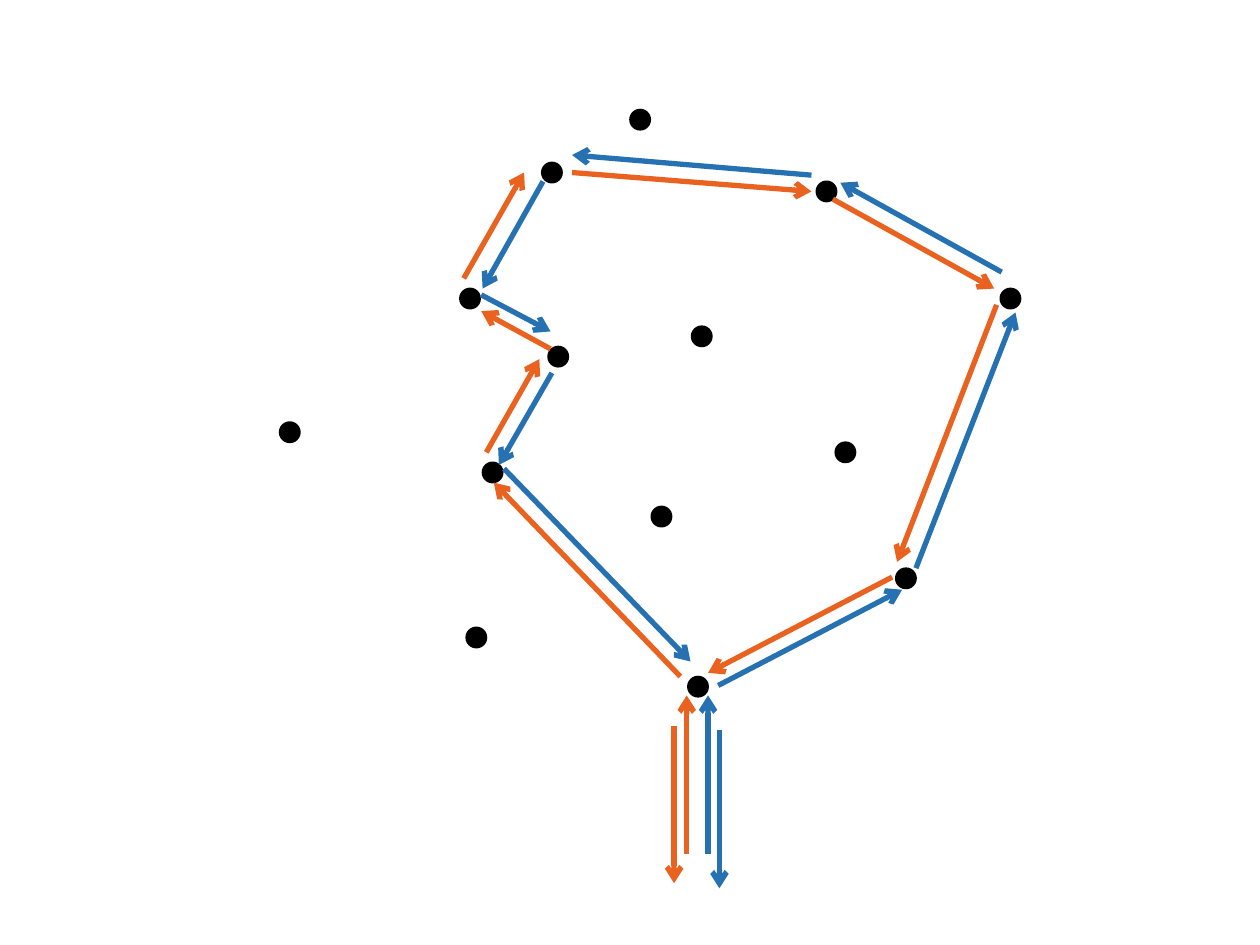
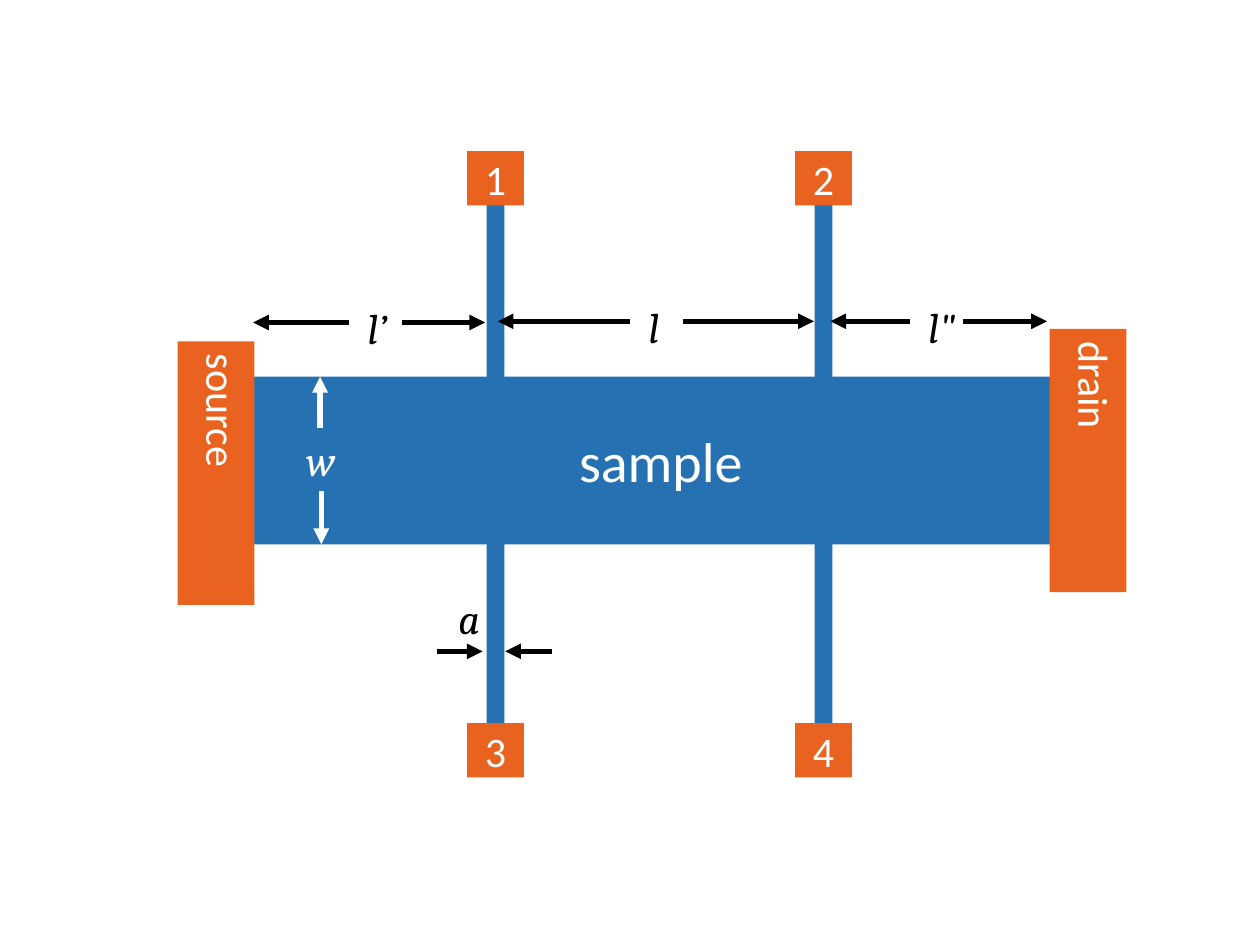
from lxml import etree
from pptx import Presentation
from pptx.dml.color import RGBColor
from pptx.enum import shapes, text
from pptx.oxml import ns
from pptx.util import Pt

BLUE = RGBColor(0x26, 0x71, 0xB2)
ORANGE = RGBColor(0xEA, 0x62, 0x1F)
BLACK = RGBColor(0, 0, 0)
WHITE = RGBColor(0xFF, 0xFF, 0xFF)
SANS, SERIF = "Calibri", "Cambria"
LABEL_SIZE = 24

# Slide 1: points in the plane (centres) and two opposite tours (x1, y1, x2, y2)
DOT = 11.5
DOTS = [(365.8, 68.4), (315.4, 98.6), (472.3, 109.4), (401, 192.2),
        (319, 203.8), (268.6, 170.6), (281.5, 270), (483.1, 258.5),
        (577.4, 170.6), (517.7, 330.5), (378, 295.2), (272.2, 364.3),
        (165.6, 247), (398.9, 392.4)]
TOURS = {
    ORANGE: [(392.4, 488.2, 392.4, 397.4), (388.8, 386.6, 282.2, 275.8),
             (277.9, 258.5, 308.2, 205.2), (314.6, 199.4, 275, 177.8),
             (265, 159.1, 299.5, 98.6), (326.9, 98.6, 463.7, 109.4),
             (475.9, 113.8, 568.1, 164.9), (569.5, 174.2, 512.6, 321.1),
             (509.8, 329.8, 404.6, 384.5), (385.2, 414.7, 385.2, 504.7)],
    BLUE: [(404.6, 488.2, 404.6, 397.4), (410.4, 391.7, 515.5, 337),
           (523.4, 324.7, 580.3, 178.6), (572.4, 155.5, 480.2, 104.4),
           (463.7, 100.1, 326.9, 88.6), (310.3, 103.7, 275.8, 164.9),
           (275, 168.5, 314.6, 189.4), (315.4, 213.1, 285.1, 265.7),
           (288, 267.8, 394.6, 378), (411.1, 416.9, 411.1, 507.6)],
}

# Slide 2: a bar with two crossing arms, four contacts and two electrodes
SAMPLE = (122.4, 215.3, 510.5, 95.8)
ARM_CENTRES = (283.2, 470.6)
ARM_TOP, ARM_W, ARM_H = 105.8, 10.2, 313.9
CONTACT_TOPS = (86.4, 413.3)
CONTACT_W, CONTACT_H = 32.4, 31
CONTACTS = [("1", "2"), ("3", "4")]
ELECTRODES = [("source", 101.5, 195.1), ("drain", 599.8, 187.9)]
ELECTRODE_W, ELECTRODE_H = 43.9, 150.5
LABEL_H = 36
# text, left, top, width, colour, wraps
LABELS = [("w", 167.8, 244.8, 32.4, WHITE, False),
          ("l", 363.6, 168.5, 20.9, BLACK, False),
          ("l\u2019", 203, 169.2, 26.6, BLACK, True),
          ("l\"", 523.4, 168.5, 33.1, BLACK, True),
          ("a", 254.9, 334.8, 27.4, BLACK, False)]
DIMENSIONS = {
    BLACK: [(199.4, 184.3, 144.7, 184.3), (229.7, 184.3, 277.2, 184.3),
            (360, 183.6, 284.4, 183.6), (390.2, 183.6, 465.1, 183.6),
            (519.8, 183.6, 474.5, 183.6), (550.1, 183.6, 598.3, 183.6),
            (249.8, 372.2, 275.8, 372.2), (315.4, 372.2, 288.7, 372.2)],
    WHITE: [(182.9, 244.8, 182.9, 215.3), (183.6, 280.8, 183.6, 311)],
}


def add_arrows(s, groups, head):
    """Draw every arrow of a {colour: segments} dict, pointing at its end."""
    for color, segments in groups.items():
        for segment in segments:
            c = s.shapes.add_connector(shapes.MSO_CONNECTOR.STRAIGHT,
                                       *map(Pt, segment))
            c.line.color.rgb = color
            c.line.width = Pt(3)
            etree.SubElement(c.line._get_or_add_ln(), ns.qn("a:tailEnd"), type=head)
            etree.SubElement(c._element.spPr, ns.qn("a:effectLst"))


def style_text(sp, words, size, font, color, italic=None):
    """Put one formatted line of text in a shape."""
    sp.text_frame.text = words
    p = sp.text_frame.paragraphs[0]
    r = p.runs[0]
    r.font.size, r.font.name, r.font.italic = Pt(size), font, italic
    r.font.color.rgb = color
    return p


def add_solid(s, kind, box, fill):
    """Add a flat shape without outline."""
    sp = s.shapes.add_shape(kind, *map(Pt, box))
    sp.shadow.inherit = False
    sp.fill.solid()
    sp.fill.fore_color.rgb = fill
    sp.line.fill.background()
    return sp


def add_rect(s, box, fill, words="", size=LABEL_SIZE):
    """Add a rectangle, with centred white text if words are given."""
    sp = add_solid(s, shapes.MSO_SHAPE.RECTANGLE, box, fill)
    if words:
        p = style_text(sp, words, size, SANS, WHITE)
        p.alignment = text.PP_ALIGN.CENTER
        sp.text_frame.vertical_anchor = text.MSO_ANCHOR.MIDDLE
    return sp


def build_tours(s):
    """Draw the points and the two tours around them."""
    for x, y in DOTS:
        sp = add_solid(s, shapes.MSO_SHAPE.OVAL,
                       (x - DOT / 2, y - DOT / 2, DOT, DOT), BLACK)
        sp.line.color.rgb = BLACK
        sp.line.width = Pt(1)
    add_arrows(s, TOURS, "arrow")


def build_hall_bar(s):
    """Draw the sample with its contacts and dimensions."""
    add_rect(s, SAMPLE, BLUE, "sample", 32)
    for x in ARM_CENTRES:
        add_rect(s, (x - ARM_W / 2, ARM_TOP, ARM_W, ARM_H), BLUE)
    for top, names in zip(CONTACT_TOPS, CONTACTS):
        for x, name in zip(ARM_CENTRES, names):
            add_rect(s, (x - CONTACT_W / 2, top, CONTACT_W, CONTACT_H),
                     ORANGE, name)
    for name, left, top in ELECTRODES:
        sp = add_rect(s, (left, top, ELECTRODE_W, ELECTRODE_H), ORANGE, name)
        tf = sp.text_frame
        tf.vertical_anchor = text.MSO_ANCHOR.TOP
        tf.word_wrap = True
        tf.auto_size = text.MSO_AUTO_SIZE.SHAPE_TO_FIT_TEXT
        tf._txBody.bodyPr.set("vert", "eaVert")
    for words, left, top, width, color, wraps in LABELS:
        sp = s.shapes.add_textbox(*map(Pt, (left, top, width, LABEL_H)))
        style_text(sp, words, LABEL_SIZE, SERIF, color, italic=True)
        sp.text_frame.word_wrap = wraps
        sp.text_frame.auto_size = text.MSO_AUTO_SIZE.SHAPE_TO_FIT_TEXT
    add_arrows(s, DIMENSIONS, "triangle")


prs = Presentation()
prs.slide_width, prs.slide_height = Pt(720), Pt(540)
for build in (build_tours, build_hall_bar):
    build(prs.slides.add_slide(prs.slide_layouts[6]))
prs.save("out.pptx")
